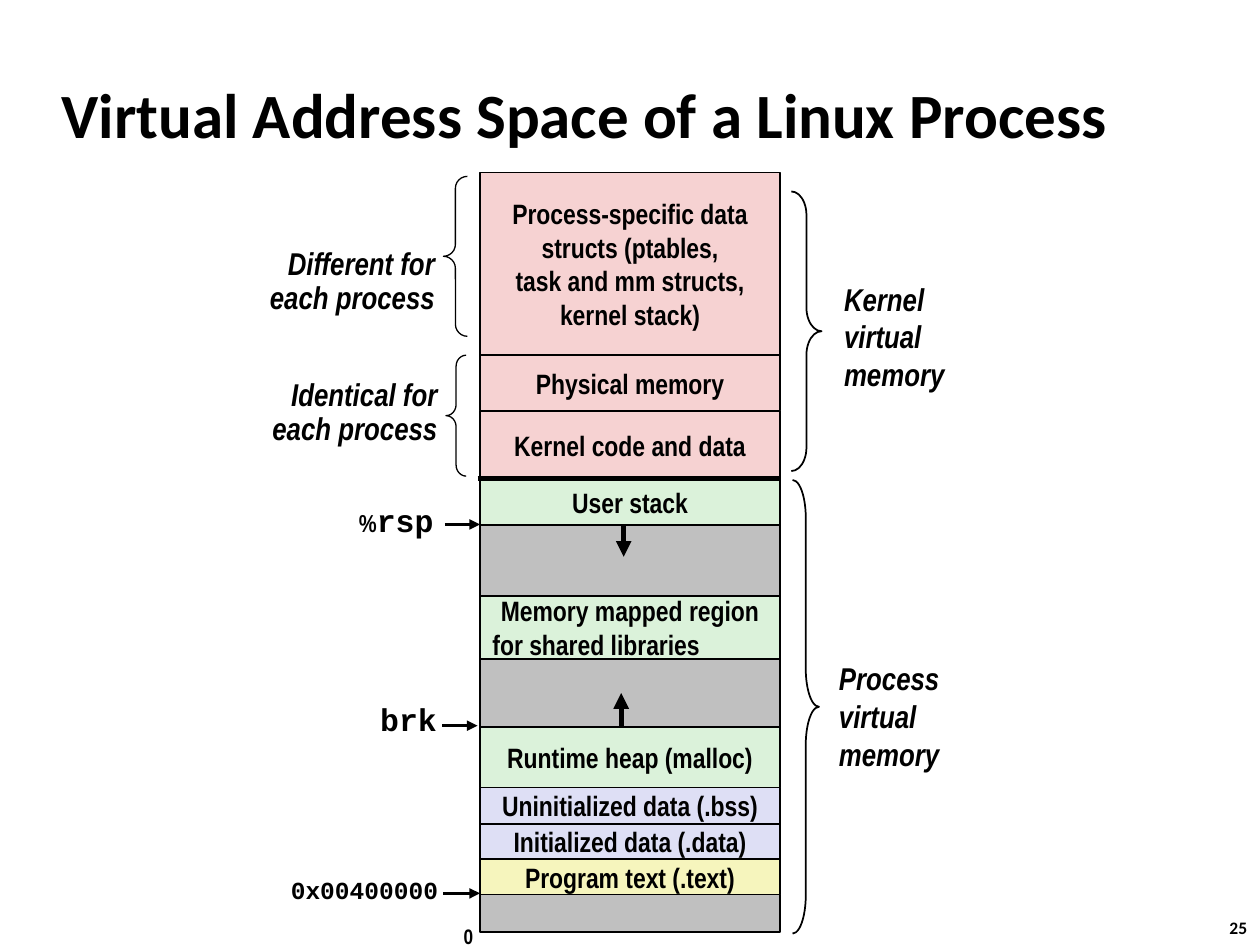
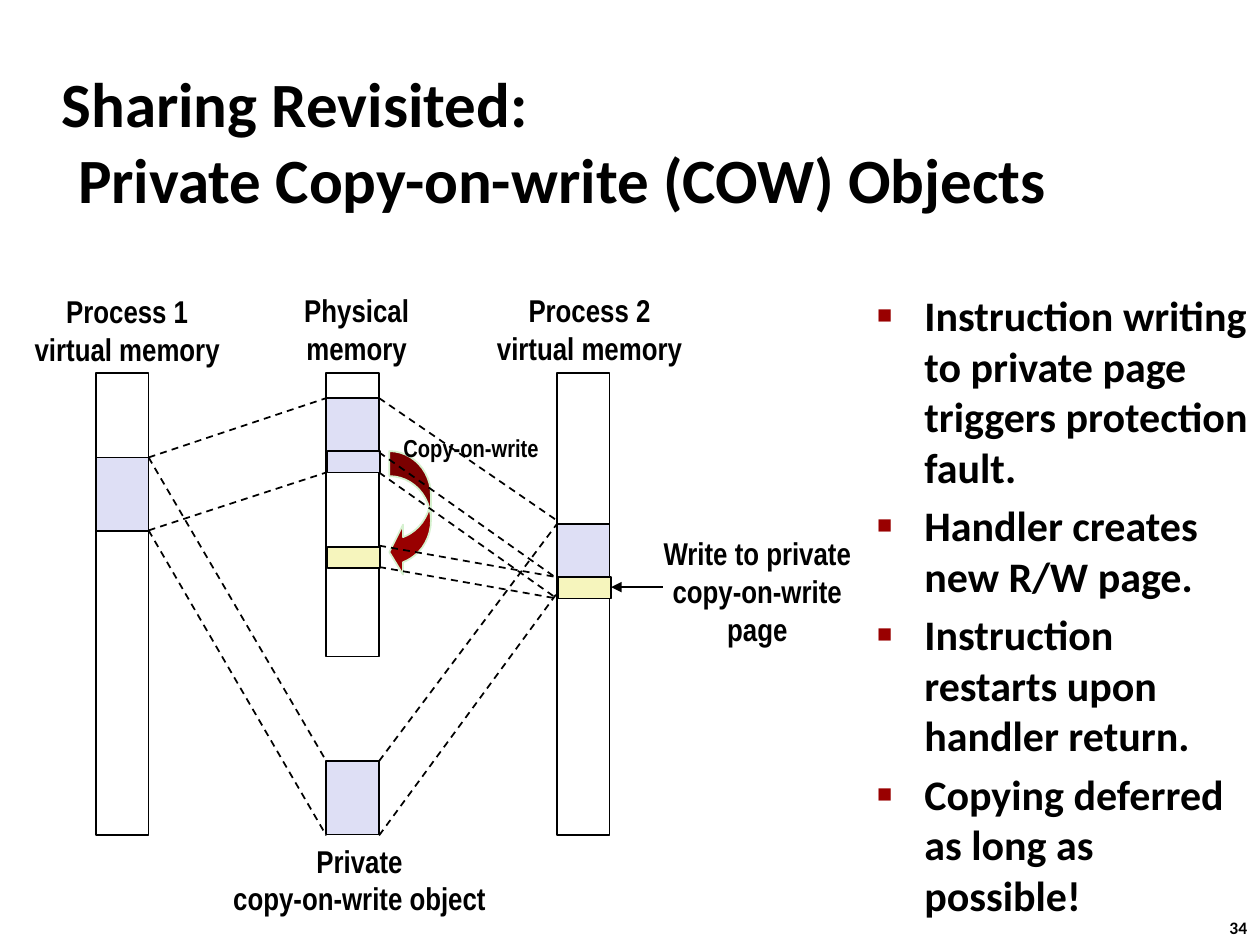
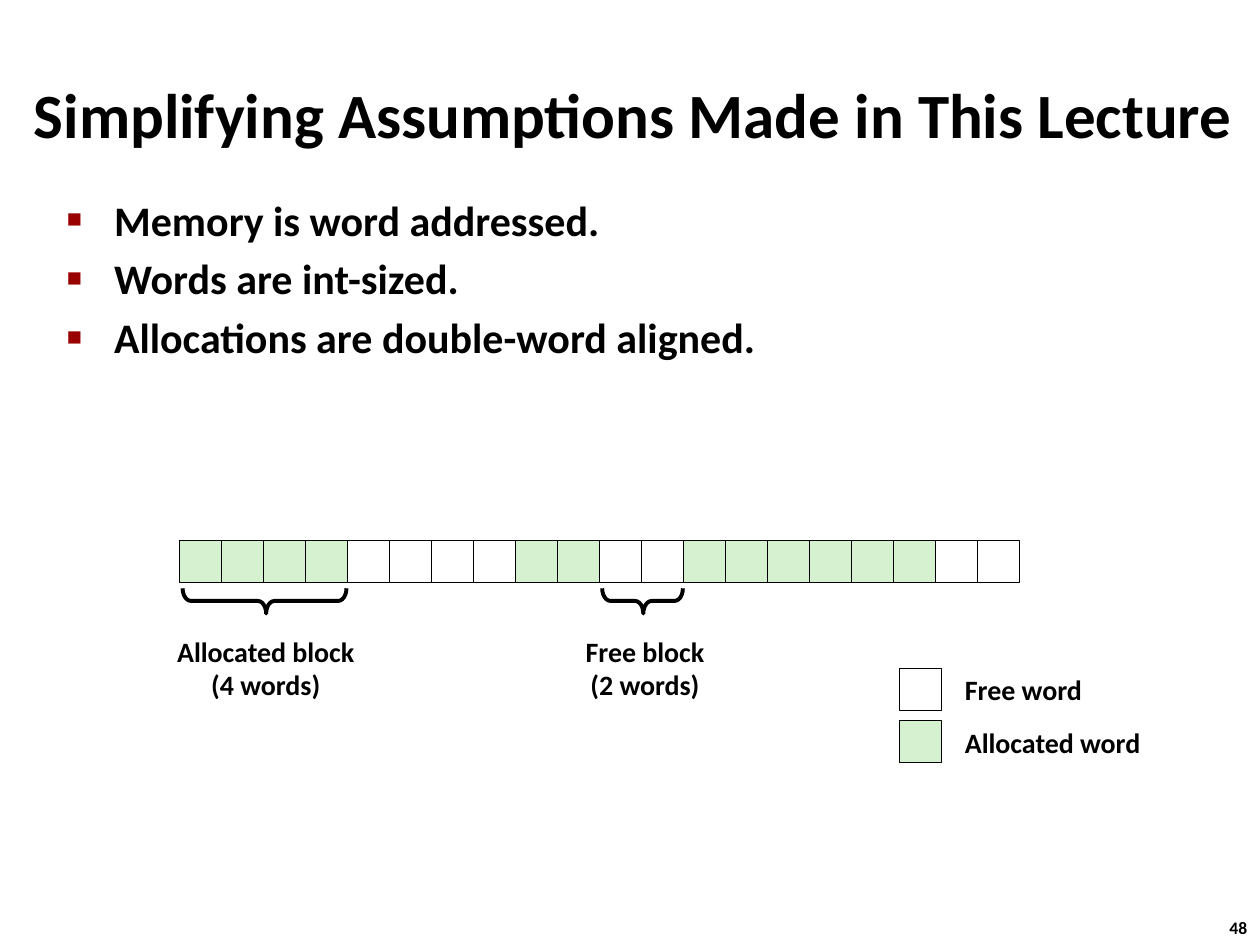
from dataclasses import dataclass
from itertools import accumulate
from typing import NamedTuple, Optional

from lxml.etree import SubElement
from pptx import Presentation
from pptx.dml.color import RGBColor
from pptx.enum.dml import MSO_LINE
from pptx.enum.shapes import MSO_CONNECTOR, MSO_SHAPE
from pptx.enum.text import MSO_ANCHOR, MSO_AUTO_SIZE, PP_ALIGN
from pptx.oxml.ns import qn
from pptx.util import Pt

BLACK = RGBColor(0x00, 0x00, 0x00)
WHITE = RGBColor(0xFF, 0xFF, 0xFF)
PINK = RGBColor(0xF6, 0xD2, 0xD2)
MINT = RGBColor(0xDB, 0xF2, 0xDA)
GREEN = RGBColor(0xD5, 0xF1, 0xCF)
GRAY = RGBColor(0xC0, 0xC0, 0xC0)
LILAC = RGBColor(0xDE, 0xDF, 0xF5)
CREAM = RGBColor(0xF6, 0xF5, 0xBD)
RED = RGBColor(0x99, 0x00, 0x00)

SANS, SLIM, MONO = "Calibri", "Arial Narrow", "Courier New"
LEFT, MID, RIGHT = PP_ALIGN.LEFT, PP_ALIGN.CENTER, PP_ALIGN.RIGHT


class Box(NamedTuple):
    x: float
    y: float
    w: float
    h: float


class Style(NamedTuple):
    font: str
    size: float
    slant: bool = False


class Row(NamedTuple):
    """One paragraph: its (text, style) runs and its alignment."""
    runs: tuple
    align: PP_ALIGN = LEFT


@dataclass
class Bar:
    box: Box
    fill: Optional[RGBColor] = None
    rows: tuple = ()
    edge: float = 1


@dataclass
class Note:
    box: Box
    rows: tuple
    wrap: bool = False
    lead: Optional[float] = None


@dataclass
class Brace:
    box: Box
    kind: MSO_SHAPE
    bend: float
    edge: float
    peak: float = 0.5
    turn: float = 0


@dataclass
class Line:
    start: tuple
    end: tuple
    width: float = 1
    arrow: bool = False
    dash: bool = False


HEAD = Style(SANS, 36)
ITEM = Style(SANS, 24)
KEY = Style(SANS, 16)
PAGE = Style(SANS, 10)
PART = Style(SLIM, 16)
NAME = Style(SLIM, 18)
SIDE = Style(SLIM, 18, True)
CODE = Style(MONO, 18)


def rows(style: Style, align: PP_ALIGN, *lines: str) -> tuple:
    return tuple(Row(((line, style),), align) for line in lines)


def span(box: Box) -> tuple:
    return tuple(Pt(n) for n in box)


def put(para, text: str, style: Style) -> None:
    """Add one run to a paragraph."""
    run = para.add_run()
    run.text = text
    font = run.font
    font.name, font.size = style.font, Pt(style.size)
    font.bold, font.italic = True, style.slant
    font.color.rgb = BLACK


def paras(frame, count: int) -> list:
    return [frame.paragraphs[0]] + [frame.add_paragraph() for _ in range(count - 1)]


def write(frame, lines: tuple, lead: Optional[float] = None) -> None:
    for para, row in zip(paras(frame, len(lines)), lines):
        para.alignment = row.align
        if lead:
            para.line_spacing = lead
        for text, style in row.runs:
            put(para, text, style)


def hang(para, left: float, first: float):
    """Set a paragraph's left margin and first-line indent."""
    props = para._p.get_or_add_pPr()
    props.set("marL", str(Pt(left)))
    props.set("indent", str(Pt(first)))
    return props


def place(shape, box: Box):
    shape.left, shape.top, shape.width, shape.height = span(box)
    frame = shape.text_frame
    frame.word_wrap = True
    frame.auto_size = MSO_AUTO_SIZE.NONE
    return frame


def start(deck, layout: int, page: str, box: Box, *lines: str):
    """Add a slide with its title and page number."""
    slide = deck.slides.add_slide(deck.slide_layouts[layout])
    frame = place(slide.shapes.title, box)
    frame.vertical_anchor = MSO_ANCHOR.MIDDLE
    para = frame.paragraphs[0]
    hang(para, 9.4, -9.4)
    para.alignment = LEFT
    for i, line in enumerate(lines):
        if i:
            para.add_line_break()
        put(para, line, HEAD)
    note(slide, Note(Box(695.5, 520.6, 26.6, 19.4), rows(PAGE, LEFT, page)))
    return slide


def listing(slide, box: Box, *items: str) -> None:
    frame = place(slide.placeholders[1], box)
    frame.margin_right = Pt(4)
    for i, (para, item) in enumerate(zip(paras(frame, len(items)), items)):
        props = hang(para, 27, -27)
        tint = SubElement(props, qn("a:buClr"))
        SubElement(tint, qn("a:srgbClr"), val=str(RED))
        SubElement(props, qn("a:buSzPct"), val="60000")
        SubElement(props, qn("a:buFont"), typeface="Arial")
        SubElement(props, qn("a:buChar"), char="■")
        para.space_before = Pt(4.8 if i else 0)
        put(para, item, ITEM)


def shape(slide, kind: MSO_SHAPE, box: Box, fill: Optional[RGBColor],
          edge: float, ink: RGBColor = BLACK):
    form = slide.shapes.add_shape(kind, *span(box))
    form.shadow.inherit = False
    if fill is None:
        form.fill.background()
    else:
        form.fill.solid()
        form.fill.fore_color.rgb = fill
    form.line.color.rgb = ink
    form.line.width = Pt(edge)
    return form


def bar(slide, item: Bar) -> None:
    form = shape(slide, MSO_SHAPE.RECTANGLE, item.box, item.fill, item.edge)
    if item.rows:
        frame = form.text_frame
        frame.word_wrap = True
        frame.vertical_anchor = MSO_ANCHOR.MIDDLE
        write(frame, item.rows)


def note(slide, item: Note) -> None:
    frame = slide.shapes.add_textbox(*span(item.box)).text_frame
    frame.word_wrap = item.wrap
    frame.auto_size = MSO_AUTO_SIZE.SHAPE_TO_FIT_TEXT
    write(frame, item.rows, item.lead)


def brace(slide, item: Brace) -> None:
    form = shape(slide, item.kind, item.box, None, item.edge)
    form.adjustments[0], form.adjustments[1] = item.bend, item.peak
    form.rotation = item.turn


def line(slide, item: Line) -> None:
    ends = (Pt(n) for n in item.start + item.end)
    link = slide.shapes.add_connector(MSO_CONNECTOR.STRAIGHT, *ends)
    link.line.color.rgb = BLACK
    link.line.width = Pt(item.width)
    if item.dash:
        link.line.dash_style = MSO_LINE.DASH
    props = link._element.spPr
    if item.arrow:
        SubElement(props.find(qn("a:ln")), qn("a:tailEnd"), type="triangle")
    SubElement(props, qn("a:effectLst"))


DRAW = {Bar: bar, Note: note, Brace: brace, Line: line}


def draw(slide, *items) -> None:
    for item in items:
        DRAW[type(item)](slide, item)


def space(deck) -> None:
    """Virtual address space as one stack of regions."""
    slide = start(deck, 5, "25", Box(28, 34.6, 632, 59.8),
                  "Virtual Address Space of a Linux Process")
    stack = [
        (104.4, PINK, rows(PART, MID, "Process-specific data", "structs (ptables,",
                           "task and mm structs, kernel stack)")),
        (31.7, PINK, rows(PART, MID, "Physical memory")),
        (39.6, PINK, rows(PART, MID, "Kernel code and data")),
        (25.9, MINT, rows(PART, MID, "User stack")),
        (40.4, GRAY, ()),
        (36, MINT, rows(PART, MID, "Memory mapped region")
         + rows(PART, LEFT, "for shared libraries")),
        (38.8, GRAY, ()),
        (34.6, MINT, rows(PART, MID, "Runtime heap (malloc)")),
        (20.9, LILAC, rows(PART, MID, "Uninitialized data (.bss)")),
        (20.1, LILAC, rows(PART, MID, "Initialized data (.data)")),
        (20.2, CREAM, rows(PART, MID, "Program text (.text)")),
        (21.6, GRAY, ()),
    ]
    tops = accumulate((high for high, _, _ in stack), initial=98.6)
    for top, (high, fill, text) in zip(tops, stack):
        bar(slide, Bar(Box(274.3, top, 171.4, high), fill, text))
    draw(
        slide,
        Line((355, 414.7), (355, 396), 3, arrow=True),
        Line((356.4, 299.5), (356.4, 318.2), 3, arrow=True),
        Line((272.9, 273.6), (445, 273.6), 3),
        Line((254.2, 299.7), (274.3, 299.7), 2, arrow=True),
        Line((252.7, 414.7), (272.9, 414.7), 2, arrow=True),
        Line((253.4, 510.5), (274.3, 510.5), 2, arrow=True),
        Note(Box(257.8, 524.2, 20.9, 21.6), rows(Style(SLIM, 12), LEFT, "0")),
        Note(Box(198, 283, 57.6, 28.8),
             (Row((("%", Style(SLIM, 14)), ("rsp", CODE))),)),
        Note(Box(210.2, 396.7, 47.5, 28.8), rows(CODE, LEFT, "brk")),
        Note(Box(159.1, 498.2, 99.4, 22.3),
             rows(Style(MONO, 14), LEFT, "0x00400000"), lead=0.9),
        Note(Box(131.8, 138.2, 123.8, 46.8),
             rows(SIDE, RIGHT, "Different for each process"), True, 0.9),
        Note(Box(131.8, 213.1, 125.3, 46.8),
             rows(SIDE, RIGHT, "Identical for each process"), True, 0.9),
        Note(Box(475.2, 156.2, 82, 72.7),
             rows(SIDE, LEFT, "Kernel", "virtual", "memory")),
        Note(Box(472.3, 373, 82, 72.7),
             rows(SIDE, LEFT, "Process", "virtual", "memory")),
        Brace(Box(253.4, 100.8, 13.7, 91.4), MSO_SHAPE.LEFT_BRACE, 0.5, 0.75),
        Brace(Box(254.9, 203, 11.5, 69.1), MSO_SHAPE.LEFT_BRACE, 0.55, 0.75),
        Brace(Box(452.2, 109.4, 17.3, 159.8), MSO_SHAPE.RIGHT_BRACE, 0.78, 1),
        Brace(Box(452.9, 274.3, 15.1, 259.2), MSO_SHAPE.RIGHT_BRACE, 1.44, 1),
    )


def sharing(deck) -> None:
    slide = start(deck, 1, "34", Box(28, 34.6, 597.6, 91.4),
                  "Sharing Revisited:", "Private Copy-on-write (COW) Objects")
    listing(slide, Box(494, 162, 226, 355),
            "Instruction writing to private page triggers protection fault.",
            "Handler creates new R/W page.",
            "Instruction restarts upon handler return.",
            "Copying deferred as long as possible!")
    first, phys, second = (54.7 + 131.75 * i for i in range(3))
    wide, tall = 30.2, 42
    top = 213.1
    for x, y, high, fill in (
        (phys, 434.9, tall, LILAC),
        (phys, top, 162, None),
        (first, top, 264.2, None),
        (second, top, 264.2, None),
        (phys, 227.5, tall, LILAC),
        (first, 261.4, tall, LILAC),
        (second, 299.5, tall, LILAC),
    ):
        bar(slide, Bar(Box(x, y, wide, high), fill))

    arrow = shape(slide, MSO_SHAPE.CURVED_LEFT_ARROW,
                  Box(222.5, 257.8, 23.8, 72), RED, 1, GREEN)
    for i, bend in enumerate((0.6, 1.2, 0.33)):
        arrow.adjustments[i] = bend

    for x, y, fill in ((phys, 257.8, LILAC), (second, 329.8, CREAM),
                       (phys, 312.5, CREAM)):
        bar(slide, Bar(Box(x + 0.7, y, wide, 12.2), fill))

    to_left = ((261.4, 434.9), (303.1, 477.4), (261.4, 227.5), (303.1, 270))
    to_right = ((434.9, 299.5), (477.4, 339.1), (227.5, 297.4), (258.5, 330.5),
                (270, 342), (311.8, 329.8), (324, 342))
    for x, pairs in ((first, to_left), (phys, to_right)):
        for near, far in pairs:
            line(slide, Line((x + wide, near), (x + 131.75, far), dash=True))

    draw(
        slide,
        Line((378.7, 335.5), (349.2, 335.5), arrow=True),
        Note(Box(7.2, 163.4, 131, 51.1),
             rows(NAME, MID, "Process 1", "virtual memory")),
        Note(Box(164.9, 162.7, 77.8, 51.1), rows(NAME, MID, "Physical", "memory")),
        Note(Box(271.4, 162.7, 131, 51.1),
             rows(NAME, MID, "Process 2", "virtual memory")),
        Note(Box(120.2, 477.4, 170.6, 51.1),
             rows(NAME, MID, "Private", "copy-on-write object")),
        Note(Box(365.8, 301.7, 133.9, 72.7),
             rows(NAME, MID, "Write to private", "copy-on-write", "page")),
        Note(Box(220.3, 244.1, 97.9, 24.5),
             rows(Style(SLIM, 14), MID, "Copy-on-write")),
    )


def words(deck) -> None:
    """Memory words in a row, with a key."""
    slide = start(deck, 1, "48", Box(12.2, 34.6, 707.8, 59.8),
                  "Simplifying Assumptions Made in This Lecture")
    listing(slide, Box(31, 107.3, 622, 391.7), "Memory is word addressed.",
            "Words are int-sized.", "Allocations are double-word aligned.")
    cell = 24
    fills = {"A": GREEN, "F": WHITE}
    for i, mark in enumerate("AAAAFFFFAAFFAAAAAAFF"):
        bar(slide, Bar(Box(102.4 + cell * i, 308.9, cell, cell), fills[mark],
                       edge=0.25))
    for y, mark, wide, text in ((381.6, "F", 82, "Free word"),
                                (411.8, "A", 116, "Allocated word")):
        draw(slide, Bar(Box(514.1, y, cell, cell), fills[mark], edge=0.25),
             Note(Box(544.3, y, wide, 26.6), rows(KEY, LEFT, text), lead=0.98))
    for x, wide, text, size, mid, reach in (
        (93.6, 116.6, "Allocated block", "(4 words)", 151.2, 93.6),
        (325.4, 86.4, "Free block", "(2 words)", 367.2, 46.1),
    ):
        draw(slide,
             Note(Box(x, 360, wide, 45.4), rows(KEY, MID, text, size), lead=0.98),
             Brace(Box(mid - 7.2, 343.4 - reach / 2, 14.4, reach),
                   MSO_SHAPE.LEFT_BRACE, 0.33, 2.25, 0.51, 270))


def main() -> None:
    deck = Presentation()
    deck.slide_width, deck.slide_height = Pt(720), Pt(540)
    space(deck)
    sharing(deck)
    words(deck)
    deck.save("out.pptx")


if __name__ == "__main__":
    main()
